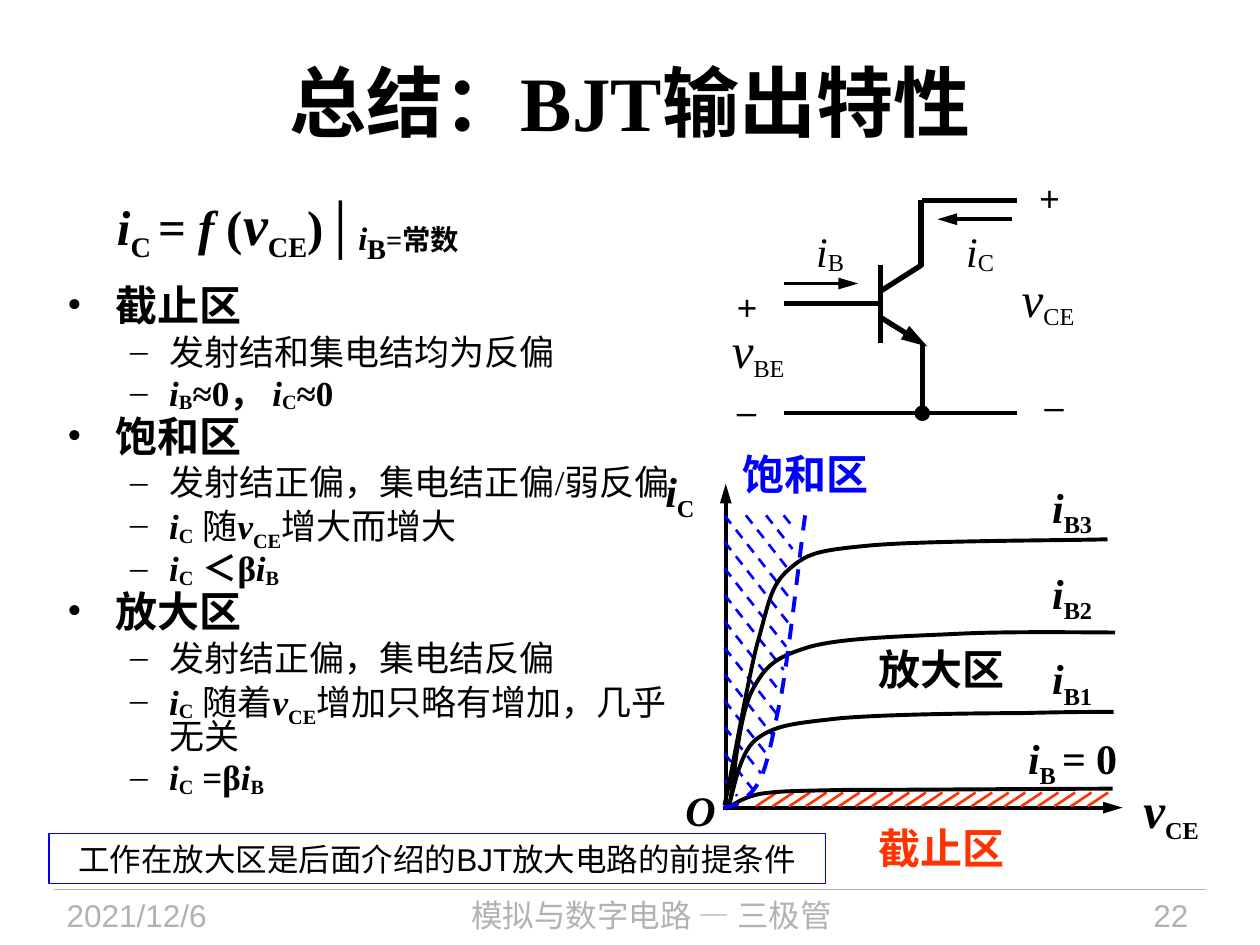
from lxml.etree import SubElement
from pptx import Presentation
from pptx.dml.color import RGBColor
from pptx.enum.dml import MSO_LINE
from pptx.enum.shapes import MSO_CONNECTOR, MSO_SHAPE
from pptx.enum.text import MSO_ANCHOR, MSO_AUTO_SIZE, PP_ALIGN
from pptx.oxml.ns import qn
from pptx.util import Inches, Pt

COLORS = {"ink": "000000", "blue": "0000FF", "red": "FF3300", "gray": "B2B2B2"}
SERIF, SANS, HAN = "Times New Roman", "Arial", "Noto Sans CJK SC"
WIDTH, HEIGHT = Inches(10), Inches(7.5)
COLUMN, ROW = WIDTH / 100, HEIGHT / 75
LEFT, CENTER, RIGHT = PP_ALIGN.LEFT, PP_ALIGN.CENTER, PP_ALIGN.RIGHT


def cell(column, row):
    return round(column * COLUMN), round(row * ROW)


def color(name):
    return RGBColor.from_string(COLORS[name])


def symbol(letter, index, drop=25, style="b", size=None):
    """Spans of an italic letter with a lowered index."""
    return [(letter, style + "i", 0, size), (index, style, drop)]


def fill_paragraph(para, spans, size, font=SERIF, ink="ink", align=LEFT, spacing=None):
    """Spans are (text, style letters b and i, drop in percent, size, font)."""
    para.alignment = align
    if spacing:
        para.line_spacing = spacing
    para.font.size, para.font.name = Pt(size), font
    para.font.color.rgb = color(ink)
    SubElement(para.font._element, qn("a:ea"), typeface=HAN)
    for text, style, *rest in spans:
        drop, span_size, span_font = (rest + [0, None, None][len(rest):])
        span = para.add_run()
        span.text = text
        span.font.bold, span.font.italic = "b" in style, "i" in style
        if span_size:
            span.font.size = Pt(span_size)
        if span_font:
            span.font.name = span_font
        if drop:
            span.font._element.set("baseline", str(-1000 * drop))


def add_text(page, place, spans, size, wrap=False, inset=True, grow=True,
             anchor=MSO_ANCHOR.TOP, **look):
    box = page.shapes.add_textbox(*cell(*place[:2]), *cell(*place[2:]))
    frame = box.text_frame
    frame.word_wrap, frame.vertical_anchor = wrap, anchor
    frame.auto_size = MSO_AUTO_SIZE.SHAPE_TO_FIT_TEXT if grow else MSO_AUTO_SIZE.NONE
    if not inset:
        frame.margin_left = frame.margin_right = 0
        frame.margin_top = frame.margin_bottom = 0
    fill_paragraph(frame.paragraphs[0], spans, size, **look)


def add_line(page, start, end, width, ink="ink", dashed=False, tip=None):
    line = page.shapes.add_connector(MSO_CONNECTOR.STRAIGHT, *cell(*start), *cell(*end))
    line.line.color.rgb, line.line.width = color(ink), Pt(width)
    if dashed:
        line.line.dash_style = MSO_LINE.DASH
    if tip:
        length = "lg" if tip == "triangle" else "med"
        SubElement(line.line._get_or_add_ln(), qn("a:tailEnd"), type=tip, w="med", len=length)
    SubElement(line._element.spPr, qn("a:effectLst"))


def add_curve(page, start, *beziers, ink="ink", dashed=False):
    """Draw cubic Bezier pieces, each given as x1, y1, x2, y2, x3, y3."""
    points = [cell(*piece[at:at + 2]) for piece in beziers for at in (0, 2, 4)]
    builder = page.shapes.build_freeform(*cell(*start))
    builder.add_line_segments(points, close=False)
    curve = builder.convert_to_shape()
    corners = list(curve._element.iter(qn("a:lnTo")))
    for first in range(0, len(corners), 3):
        bend = corners[first].makeelement(qn("a:cubicBezTo"), {})
        corners[first].addprevious(bend)
        for corner in corners[first:first + 3]:
            bend.append(corner[0])
            corner.getparent().remove(corner)
    curve.shadow.inherit = False
    curve.fill.background()
    curve.line.color.rgb, curve.line.width = color(ink), Pt(2.25)
    if dashed:
        curve.line.dash_style = MSO_LINE.DASH


def add_outline(page, place, items):
    """Bulleted list; items are (level, spans)."""
    box = page.shapes.add_textbox(*cell(*place[:2]), *cell(*place[2:]))
    frame = box.text_frame
    frame.word_wrap = True
    for number, (level, spans) in enumerate(items):
        para = frame.add_paragraph() if number else frame.paragraphs[0]
        size, margin, indent, mark = [(24, .38, .38, "•"), (20, .81, .31, "–")][level]
        para.level, para.space_after = level, Pt(size / 5)
        fill_paragraph(para, spans, size, spacing=0.8)
        properties = para._p.get_or_add_pPr()
        properties.set("marL", str(Inches(margin)))
        properties.set("indent", str(-Inches(indent)))
        for tag, values in [("a:buFont", {"typeface": SERIF}), ("a:buChar", {"char": mark})]:
            bullet = properties.makeelement(qn(tag), values)
            properties.find(qn("a:defRPr")).addprevious(bullet)


def add_regions(page):
    current = symbol("i", "C", 10)
    add_outline(page, (4.35, 22.5, 50.4, 47.3), [
        (0, [("截止区", "b")]),
        (1, [("发射结和集电结均为反偏", "")]),
        (1, symbol("i", "B", 10) + [("≈0， ", "b")] + current + [("≈0", "b")]),
        (0, [("饱和区", "b")]),
        (1, [("发射结正偏，集电结正偏/弱反偏", "")]),
        (1, current + [(" 随", "")] + symbol("v", "CE") + [("增大而增大", "")]),
        (1, current + [(" ＜β", "b")] + symbol("i", "B", 10)),
        (0, [("放大区", "b")]),
        (1, [("发射结正偏，集电结反偏", "")]),
        (1, current + [(" 随着", "")] + symbol("v", "CE")
         + [("增加只略有增加，几乎无关", "", 0, None, HAN)]),
        (1, current + [(" =β", "b")] + symbol("i", "B", 10)),
    ])


def add_circuit(page):
    for start, end, tip in [
            ((69.9, 21), (69.9, 27.2), None), ((69.9, 24.1), (62.2, 24.1), None),
            ((69.9, 23.1), (73.2, 21), None), ((69.9, 25.2), (73.6, 27.5), "triangle"),
            ((73.1, 21.1), (73.1, 15.9), None), ((73.2, 27.2), (73.2, 32.8), "oval"),
            ((80.7, 15.9), (73.2, 15.9), None)]:
        add_line(page, start, end, 3, tip=tip)
    add_line(page, (80.7, 32.8), (62.2, 32.8), 2.25)
    add_line(page, (62.2, 22.5), (68.1, 22.5), 2.25, tip="triangle")
    add_line(page, (80.3, 17.4), (74.4, 17.4), 2.25, tip="triangle")
    for column, index in [(63.8, "B"), (75.7, "C")]:
        add_text(page, (column, 17.4, 4.4, 5), symbol("i", index, 10, ""), 24)
    for column, row, index in [(57.1, 24.9, "BE"), (80.1, 20.8, "CE")]:
        add_text(page, (column, row, 6.6, 5.7), symbol("v", index, 20, "", 28), 24)
    for column, row, sign in [(57.5, 22.2, "+"), (57.5, 30.4, "–"),
                              (81.5, 13.5, "+"), (81.9, 30, "–")]:
        add_text(page, (column, row, 3.6, 4.3), [(sign, "")], 20, font=SANS)


def add_hatching(page):
    for number in range(21):
        column = 60 + 1.315 * number
        add_line(page, (column, 64), (column + 1.65, 62.9), 1.5, "red")
    edge = [62.7, 62.6, 62.4, 62.2, 61.9, 61.7, 61.3, 60.9, 60.4, 59.7, 58.5]
    strokes = [(57.5, 40.9 + 2.1 * number, end) for number, end in enumerate(edge)]
    strokes += [(59.2, 40.9, 62.7), (60.8, 40.9, 62.9), (62.2, 40.9, 63.1)]
    for column, row, end in strokes:
        add_line(page, (column, row), (end, row + 1.27 * (end - column)), 1.5, "blue", True)


def add_characteristics(page):
    add_line(page, (57.4, 64.1), (89.1, 64.1), 2.25, tip="triangle")
    add_line(page, (57.6, 64.1), (57.6, 38.4), 2.25, tip="triangle")
    add_hatching(page)
    add_curve(page, (57.6, 64.2), (58.1, 64, 58.8, 63.3, 60.4, 63),
              (61.9, 62.8, 62.3, 62.8, 66.9, 62.7), (71.6, 62.7, 83.9, 62.6, 88.3, 62.6))
    add_curve(page, (57.8, 64), (58.2, 63.1, 58.6, 59.8, 60, 58.7),
              (61.5, 57.5, 63.2, 57.4, 66.7, 57), (70.2, 56.7, 77.4, 56.6, 81, 56.6),
              (84.6, 56.5, 86.8, 56.5, 88.4, 56.5))
    add_curve(page, (57.9, 63.9), (58.2, 62.4, 58.6, 56.9, 59.7, 54.8),
              (60.8, 52.7, 61.7, 52.1, 64.4, 51.3), (67.1, 50.6, 72.1, 50.5, 76.1, 50.3),
              (80.1, 50.1, 86.4, 50.2, 88.5, 50.2))
    add_curve(page, (57.5, 63.9), (58, 61.8, 59.3, 54.2, 60.1, 51.1),
              (61, 48, 61.1, 46.5, 62.6, 45.2), (64.1, 43.9, 64.8, 43.7, 69, 43.3),
              (73.2, 42.9, 84.8, 42.9, 87.9, 42.8))
    add_curve(page, (57.4, 64.1), (57.7, 64, 58.4, 64, 59, 63.5),
              (59.5, 63, 60.1, 62.6, 60.6, 61.2), (61.1, 59.8, 61.5, 57.5, 62, 55.2),
              (62.4, 52.9, 62.8, 49.7, 63.1, 47.3), (63.4, 44.9, 63.7, 42.2, 63.9, 40.9),
              ink="blue", dashed=True)
    for number, row in enumerate([50.9, 44.1, 37.3], 1):
        add_text(page, (83.5, row, 3.5, 4.8), symbol("i", f"B{number}"), 24,
                 inset=False, spacing=1.2)
    add_text(page, (81.6, 57.2, 7.3, 4.8), symbol("i", "B ") + [("= 0", "b")], 24,
             inset=False, spacing=1.2)
    add_text(page, (90.7, 61.9, 4.5, 5.1), symbol("v", "CE", size=28), 24, inset=False,
             grow=False, anchor=MSO_ANCHOR.MIDDLE, align=CENTER)
    add_text(page, (52.8, 37.2, 2.5, 4), symbol("i", "C"), 24, inset=False,
             anchor=MSO_ANCHOR.MIDDLE)
    add_text(page, (54.4, 62.3, 2.4, 4), [("O", "bi")], 24, inset=False)
    for column, row, width, name, ink in [(68.7, 64.8, 12.1, "截止区", "red"),
                                          (68.7, 50.6, 12.1, "放大区", "ink"),
                                          (57.95, 35.1, 13.8, "饱和区", "blue")]:
        add_text(page, (column, row, width, 5), [(name, "b")], 24, wrap=width > 13,
                 font=SANS, ink=ink)


def add_conclusion(page):
    box = page.shapes.add_shape(MSO_SHAPE.RECTANGLE, *cell(3.9, 66.15), *cell(61.6, 4))
    box.shadow.inherit = False
    box.fill.background()
    box.line.color.rgb, box.line.width = color("blue"), Pt(0.75)
    box.text_frame.word_wrap = True
    box.text_frame.auto_size = MSO_AUTO_SIZE.SHAPE_TO_FIT_TEXT
    box.text_frame.vertical_anchor = MSO_ANCHOR.TOP
    fill_paragraph(box.text_frame.paragraphs[0],
                   [("工作在放大区是后面介绍的BJT放大电路的前提条件", "")],
                   18, font=SANS, align=CENTER)


def add_footer(page):
    add_line(page, (4.3, 70.6), (95.7, 70.6), 0.75, "gray")
    topic = [("模拟与数字电路 ", ""), ("— ", "", 0, None, SERIF), ("三极管", "")]
    for column, width, spans, align in [(4.3, 18.8, [("2021/12/6", "")], LEFT),
                                        (24.9, 53.6, topic, CENTER),
                                        (82, 13.3, [("22", "")], RIGHT)]:
        add_text(page, (column, 70.6, width, 4.4), spans, 18, wrap=True, grow=False,
                 font=SANS, ink="gray", align=align)


def main():
    deck = Presentation()
    deck.slide_width, deck.slide_height = WIDTH, HEIGHT
    page = deck.slides.add_slide(deck.slide_layouts[6])
    add_footer(page)
    add_text(page, (5, 1.7, 90, 12.5), [("总结：BJT", "b"), ("输出特性", "b", 0, None, SANS)],
             44, wrap=True, grow=False, anchor=MSO_ANCHOR.MIDDLE, align=CENTER)
    add_regions(page)
    formula = symbol("i", "C ") + [("= ", "b"), ("f ", "bi"), ("(", "b")]
    formula += symbol("v", "CE", size=32) + [(")│", "b"), ("i", "bi", 10, 32),
                                             ("B", "b", 30), ("=常数", "b", 10)]
    add_text(page, (8.3, 12.7, 34.7, 7.9), formula, 28, wrap=True, spacing=1.3)
    add_characteristics(page)
    add_circuit(page)
    add_conclusion(page)
    deck.save("out.pptx")


if __name__ == "__main__":
    main()
